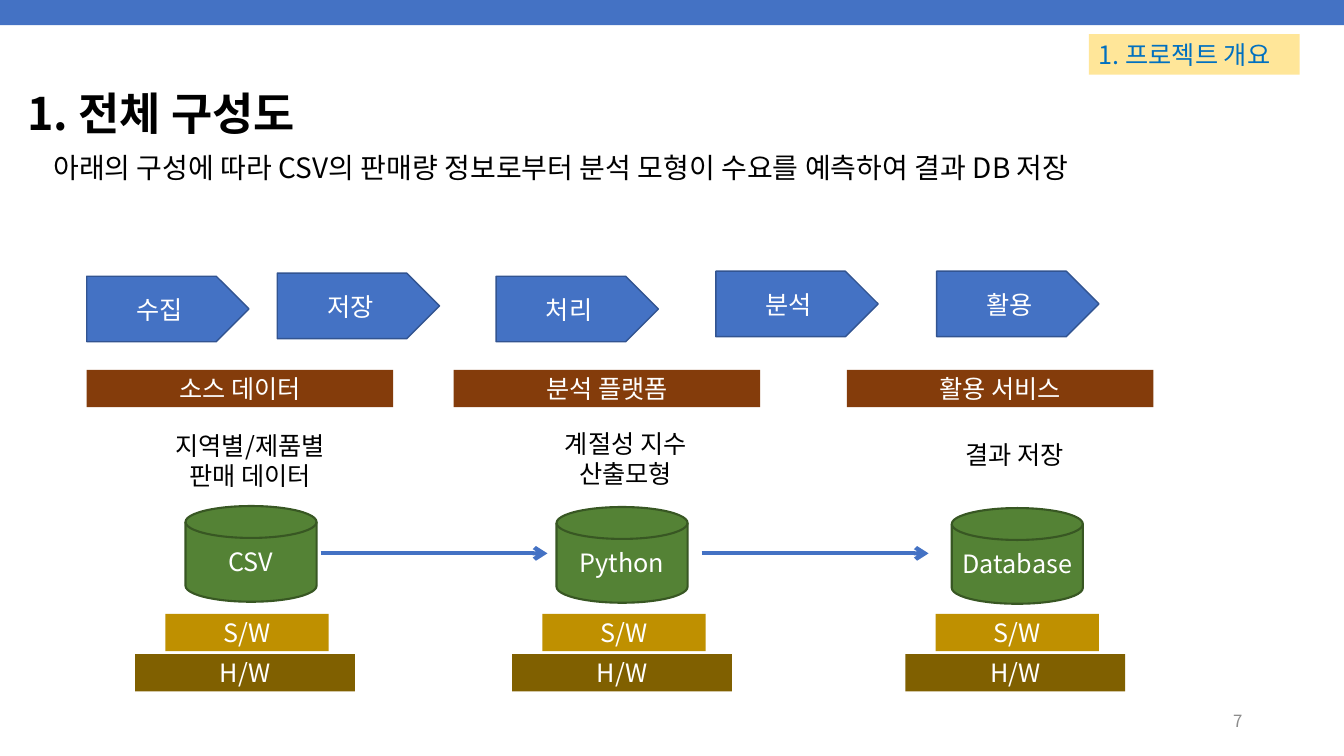
from lxml import etree
from pptx import Presentation
from pptx.dml.color import RGBColor
from pptx.enum.shapes import MSO_CONNECTOR, MSO_SHAPE as SHAPE
from pptx.enum.text import MSO_ANCHOR as ANCHOR, PP_ALIGN as ALIGN
from pptx.oxml.ns import qn
from pptx.util import Emu, Pt

EMU_PER_PX = 9144
FONT = "Noto Sans CJK KR"
COLORS = {
    "blue": "4472C4", "blue_edge": "325491", "label": "FFE699",
    "label_text": "0070C0", "brown": "843C0B", "green": "548235",
    "green_edge": "385723", "gold": "BF9000", "dark_gold": "806000",
    "white": "FFFFFF", "black": "000000", "gray": "8C8C8C",
}
STEPS = [("수집", 86, 274), ("저장", 275, 271), ("처리", 492, 274),
         ("분석", 710, 269), ("활용", 929, 269)]
STAGES = [
    ("소스 데이터", 86, "지역별/제품별\n판매 데이터", (157, 422, 182, 71), "CSV", (184, 502), 134),
    ("분석 플랫폼", 450, "계절성 지수\n산출모형", (543, 420, 155, 71), "Python", (552, 503), 508),
    ("활용 서비스", 840, "결과 저장", (941, 431, 130, 40), "Database", (944, 504), 898),
]
ARROW_LEFTS = (318, 696)


def px(*lengths):
    return [Emu(length * EMU_PER_PX) for length in lengths]


def rgb(name):
    return RGBColor.from_string(COLORS[name])


def write(shape, text, size=18, color="white", align=ALIGN.CENTER,
          anchor=ANCHOR.MIDDLE, bold=False, spacing=1.0, wrap=True):
    frame = shape.text_frame
    frame.text = text
    frame.word_wrap = wrap
    frame.vertical_anchor = anchor
    for paragraph in frame.paragraphs:
        paragraph.alignment = align
        paragraph.line_spacing = spacing
        for run in paragraph.runs:
            font = run.font
            font.name, font.size, font.bold = FONT, Pt(size), bold
            font.color.rgb = rgb(color)
            east_asian = etree.SubElement(font._element, qn("a:ea"))
            east_asian.set("typeface", FONT)


def add_text(slide, box, text, **style):
    write(slide.shapes.add_textbox(*px(*box)), text, **style)


def add_block(slide, kind, box, fill, text="", edge=None, edge_width=1, **style):
    shape = slide.shapes.add_shape(kind, *px(*box))
    shape.shadow.inherit = False
    shape.fill.solid()
    shape.fill.fore_color.rgb = rgb(fill)
    if edge:
        shape.line.color.rgb = rgb(edge)
        shape.line.width = Pt(edge_width)
    else:
        shape.line.fill.background()
    if text:
        write(shape, text, **style)


def add_arrow(slide, left, top, length):
    arrow = slide.shapes.add_connector(
        MSO_CONNECTOR.STRAIGHT, *px(left, top, left + length, top))
    arrow.line.color.rgb = rgb("blue")
    arrow.line.width = Pt(3)
    line = arrow.line._get_or_add_ln()
    etree.SubElement(line, qn("a:tailEnd")).set("type", "arrow")
    etree.SubElement(arrow._element.spPr, qn("a:effectLst"))


def add_title(slide, box, text):
    title = slide.shapes.title
    title.left, title.top, title.width, title.height = px(*box)
    write(title, text, size=32, color="black", align=ALIGN.LEFT, bold=True, spacing=0.9)


def add_stage(slide, banner, banner_left, description, description_box,
              store, store_position, base_left):
    add_block(slide, SHAPE.RECTANGLE, (banner_left, 367, 304, 37), "brown", banner)
    add_text(slide, description_box, description, color="black",
             anchor=ANCHOR.TOP, wrap=False)
    add_block(slide, SHAPE.FLOWCHART_MAGNETIC_DISK, (*store_position, 130, 95),
              "green", store, edge="green_edge", edge_width=1.5)
    add_block(slide, SHAPE.RECTANGLE, (base_left + 30, 609, 162, 37), "gold", "S/W")
    add_block(slide, SHAPE.RECTANGLE, (base_left, 649, 218, 37), "dark_gold", "H/W")


def main():
    """Build the system overview slide and save it."""
    presentation = Presentation()
    presentation.slide_width, presentation.slide_height = px(1333, 750)
    slide = presentation.slides.add_slide(presentation.slide_layouts[5])

    add_block(slide, SHAPE.RECTANGLE, (0, 0, 1333, 25), "blue")
    add_title(slide, (17, 71, 1293, 89), "1. 전체 구성도")
    add_text(slide, (942, 695, 300, 40), "7", size=12, color="gray", align=ALIGN.RIGHT)
    add_block(slide, SHAPE.RECTANGLE, (1080, 34, 209, 40), "label", "1. 프로젝트 개요",
              color="label_text", align=ALIGN.LEFT, anchor=ANCHOR.TOP, wrap=False)
    add_text(slide, (43, 141, 1241, 76),
             "아래의 구성에 따라 CSV의 판매량 정보로부터 분석 모형이 수요를 예측하여 결과 DB 저장",
             size=20, color="black", align=ALIGN.LEFT, anchor=ANCHOR.TOP, spacing=1.1)
    for name, left, top in STEPS:
        add_block(slide, SHAPE.PENTAGON, (left, top, 161, 65), "blue", name, edge="blue_edge")
    for stage in STAGES:
        add_stage(slide, *stage)
    for left in ARROW_LEFTS:
        add_arrow(slide, left, 549, 225)

    presentation.save("out.pptx")


if __name__ == "__main__":
    main()
